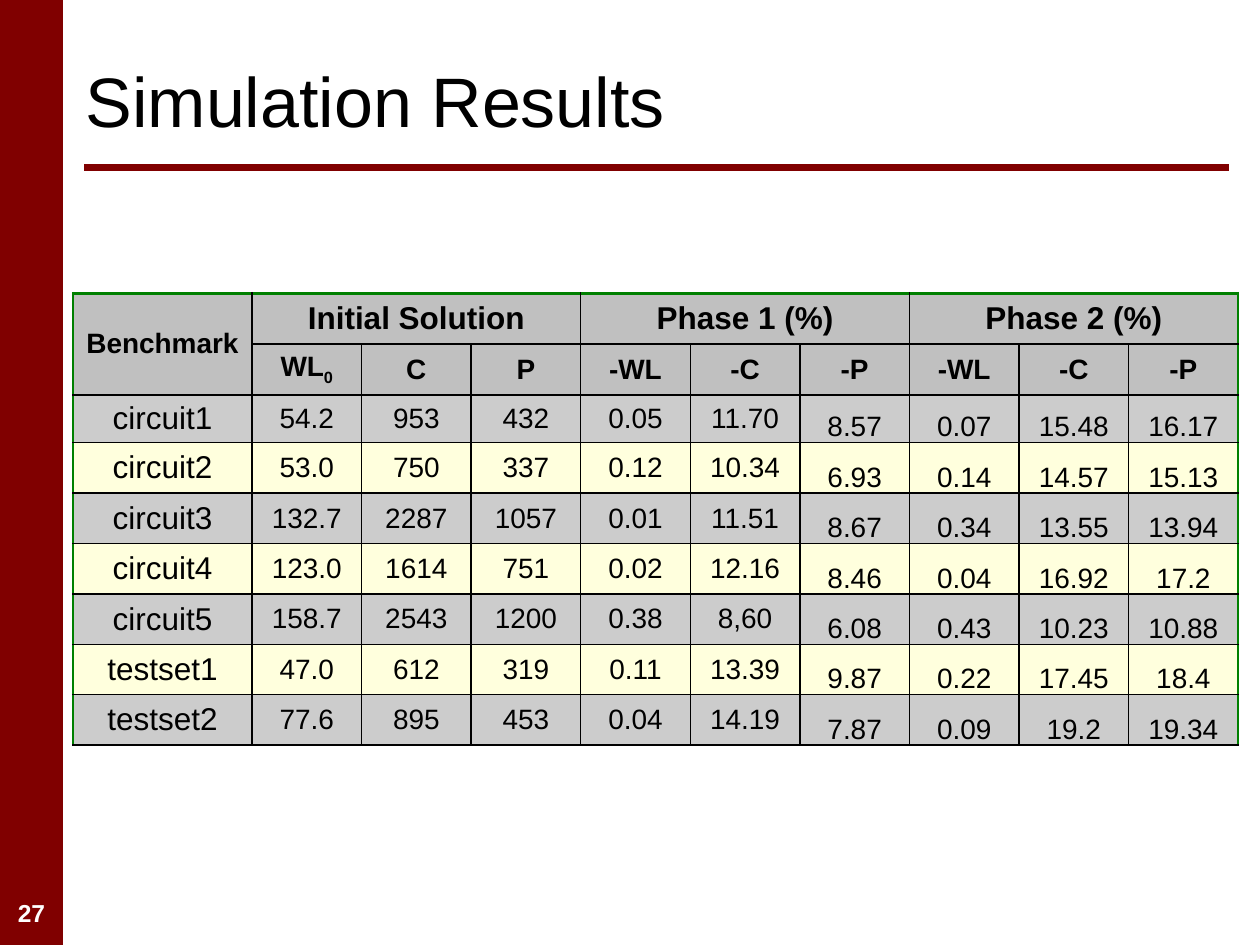
from lxml import etree
from pptx import Presentation
from pptx.dml.color import RGBColor
from pptx.enum.shapes import MSO_CONNECTOR, MSO_SHAPE
from pptx.enum.text import MSO_ANCHOR, PP_ALIGN
from pptx.oxml.ns import qn
from pptx.util import Inches, Pt

MAROON = RGBColor(0x80, 0x00, 0x00)
GREEN = RGBColor(0x00, 0x80, 0x00)
BLACK = RGBColor(0x00, 0x00, 0x00)
WHITE = RGBColor(0xFF, 0xFF, 0xFF)
HEADER_GRAY = RGBColor(0xC0, 0xC0, 0xC0)
BAND_GRAY = RGBColor(0xCC, 0xCC, 0xCC)
BAND_CREAM = RGBColor(0xFF, 0xFF, 0xDD)

LEFT, CENTER = PP_ALIGN.LEFT, PP_ALIGN.CENTER
MIDDLE, BOTTOM = MSO_ANCHOR.MIDDLE, MSO_ANCHOR.BOTTOM
RECTANGLE, STRAIGHT = MSO_SHAPE.RECTANGLE, MSO_CONNECTOR.STRAIGHT
TITLE_ONLY = 5

GROUPS = ["Initial Solution", "Phase 1 (%)", "Phase 2 (%)"]
SUBHEADS = ["WL", "C", "P", "-WL", "-C", "-P", "-WL", "-C", "-P"]
RESULTS = [
    ["circuit1", "54.2", "953", "432", "0.05", "11.70", "8.57", "0.07", "15.48", "16.17"],
    ["circuit2", "53.0", "750", "337", "0.12", "10.34", "6.93", "0.14", "14.57", "15.13"],
    ["circuit3", "132.7", "2287", "1057", "0.01", "11.51", "8.67", "0.34", "13.55", "13.94"],
    ["circuit4", "123.0", "1614", "751", "0.02", "12.16", "8.46", "0.04", "16.92", "17.2"],
    ["circuit5", "158.7", "2543", "1200", "0.38", "8,60", "6.08", "0.43", "10.23", "10.88"],
    ["testset1", "47.0", "612", "319", "0.11", "13.39", "9.87", "0.22", "17.45", "18.4"],
    ["testset2", "77.6", "895", "453", "0.04", "14.19", "7.87", "0.09", "19.2", "19.34"],
]
HEADER_ROWS = 2
FIRST_BOTTOM_COL = 6  # from this column on, results sit on the cell bottom
LABEL_FORMAT = {"margin_top": Inches(0.04), "margin_bottom": Inches(0.04)}
BOTTOM_FORMAT = {"vertical_anchor": BOTTOM, "margin_left": Inches(0.01),
                 "margin_right": Inches(0.01), "margin_top": Inches(0.01),
                 "margin_bottom": 0}


def set_attrs(target, values):
    for name, value in values.items():
        setattr(target, name, value)


def add_run(p, text, size, color=BLACK, bold=False):
    r = p.add_run()
    r.text = text
    r.font.color.rgb = color
    set_attrs(r.font, {"name": "Arial", "size": Pt(size), "bold": bold})
    return r


def add_frame(slide, left, top, width, height):
    """Side bar, slide number and the rule under the title."""
    bar = slide.shapes.add_shape(RECTANGLE, left, top, Inches(0.5), height)
    bar.shadow.inherit = False
    bar.fill.solid()
    bar.fill.fore_color.rgb = MAROON
    bar.line.fill.background()

    number = slide.shapes.add_textbox(left, top + height - Inches(0.42),
                                      Inches(0.5), Inches(0.33))
    number.text_frame.word_wrap = True
    p = number.text_frame.paragraphs[0]
    p.alignment = CENTER
    add_run(p, "27", 14, WHITE, bold=True)

    y = top + Inches(1.33)
    rule = slide.shapes.add_connector(STRAIGHT, left + Inches(0.67), y,
                                      left + width - Inches(0.25), y)
    rule.line.color.rgb = MAROON
    rule.line.width = Pt(4)
    etree.SubElement(rule._element.spPr, qn("a:effectLst"))


def set_title(slide, left, top, width, height):
    title = slide.shapes.title
    set_attrs(title, {"left": left, "top": top, "width": width, "height": height})
    title.text_frame.vertical_anchor = MIDDLE
    p = title.text_frame.paragraphs[0]
    p.alignment = LEFT
    add_run(p, "Simulation Results", 40)


def set_borders(cell, sides):
    tc_pr = cell._tc.get_or_add_tcPr()
    for side, (color, width) in sides.items():
        ln = etree.SubElement(tc_pr, qn(f"a:ln{side}"), w=str(Pt(width)))
        fill = etree.SubElement(ln, qn("a:solidFill"))
        etree.SubElement(fill, qn("a:srgbClr"), val=str(color))


def write_cell(cell, text, size, bold=False):
    cell.vertical_anchor = MIDDLE
    p = cell.text_frame.paragraphs[0]
    p.alignment = CENTER
    add_run(p, text, size, bold=bold)
    return p


def style_grid(table):
    """Borders and fills: green outside (open at the bottom), black inside."""
    last = len(table.columns) - 1
    for i, row in enumerate(table.rows):
        # The last group heading spans three columns and meets the right edge
        right_edge = last - 2 if i == 0 else last
        for j, cell in enumerate(row.cells):
            set_borders(cell, {
                "L": (GREEN if j == 0 else BLACK, 1),
                "R": (GREEN if j >= right_edge else BLACK, 1),
                "T": (GREEN, 2.25) if i == 0 else (BLACK, 1),
                "B": (BLACK, 1),
            })
            cell.fill.solid()
            band = BAND_CREAM if i % 2 else BAND_GRAY
            cell.fill.fore_color.rgb = HEADER_GRAY if i < HEADER_ROWS else band


def add_results_table(slide, left, top, width, height):
    n_rows, n_cols = HEADER_ROWS + len(RESULTS), 1 + len(SUBHEADS)
    table = slide.shapes.add_table(n_rows, n_cols, left, top, width, height).table
    table.first_row = table.horz_banding = False

    name_width = Inches(1.42)
    for j, col in enumerate(table.columns):
        col.width = name_width if j == 0 else (width - name_width) // len(SUBHEADS)
    for i, row in enumerate(table.rows):
        row.height = Inches(0.38 if i == HEADER_ROWS else 0.4)
    style_grid(table)

    # Header
    table.cell(0, 0).merge(table.cell(1, 0))
    write_cell(table.cell(0, 0), "Benchmark", 16, bold=True)
    for g, text in enumerate(GROUPS):
        first = 1 + 3 * g
        table.cell(0, first).merge(table.cell(0, first + 2))
        write_cell(table.cell(0, first), text, 18, bold=True)
    for j, text in enumerate(SUBHEADS, 1):
        p = write_cell(table.cell(1, j), text, 16, bold=True)
        if j == 1:
            sub = add_run(p, "0", 16, bold=True)
            sub.font._element.set("baseline", "-25000")

    # Results
    for i, values in enumerate(RESULTS, HEADER_ROWS):
        for j, text in enumerate(values):
            cell = table.cell(i, j)
            write_cell(cell, text, 18 if j == 0 else 16)
            if j == 0:
                set_attrs(cell, LABEL_FORMAT)
            elif j >= FIRST_BOTTOM_COL:
                set_attrs(cell, BOTTOM_FORMAT)


def main():
    prs = Presentation()
    prs.slide_width, prs.slide_height = Inches(10), Inches(7.5)
    slide = prs.slides.add_slide(prs.slide_layouts[TITLE_ONLY])
    add_frame(slide, 0, 0, prs.slide_width, prs.slide_height)
    set_title(slide, Inches(0.58), Inches(0.25), Inches(9.17), Inches(1.08))
    add_results_table(slide, Inches(0.58), Inches(2.33), Inches(9.25), Inches(3.58))
    prs.save("out.pptx")


if __name__ == "__main__":
    main()
